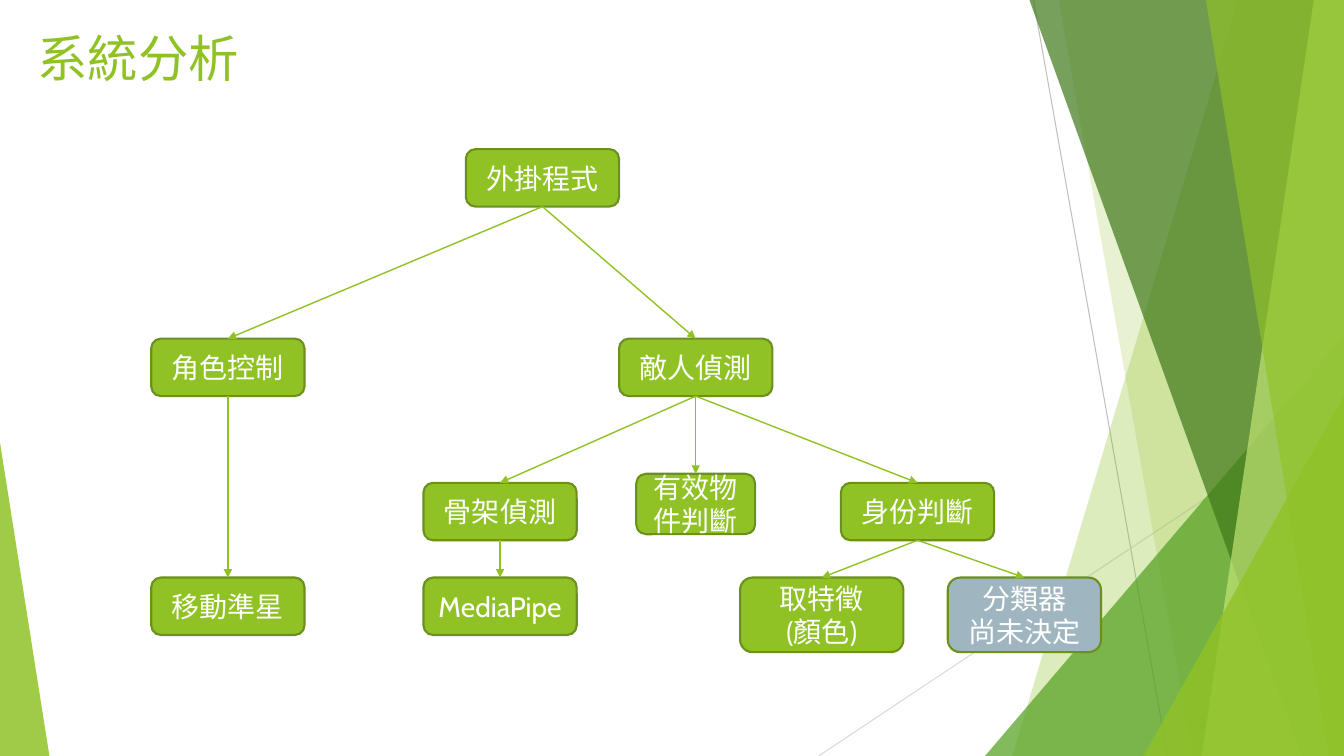
from dataclasses import dataclass

from lxml.etree import SubElement
from pptx import Presentation
from pptx.dml.color import RGBColor
from pptx.enum.shapes import MSO_CONNECTOR as CONN, MSO_SHAPE as SHAPE
from pptx.enum.text import MSO_ANCHOR, PP_ALIGN
from pptx.oxml.ns import qn
from pptx.util import Inches, Pt


@dataclass(frozen=True)
class Theme:
    green: str = "90C226"
    edge: str = "6B901C"
    leaf: str = "54A021"
    forest: str = "3F7819"
    lime: str = "C0E474"
    undecided: str = "9FB6C0"
    white: str = "FFFFFF"
    gray: str = "BFBFBF"
    pale_gray: str = "D9D9D9"
    font: str = "Cabin"
    title_size: int = 36
    box_size: int = 20


T = Theme()
W, H = 13.33, 7.5

prs = Presentation()
prs.slide_width, prs.slide_height = Inches(W), Inches(H)
s = prs.slides.add_slide(prs.slide_layouts[5])


def add_line(start, end, color, width):
    line = s.shapes.add_connector(CONN.STRAIGHT, *map(Inches, start + end))
    line.line.color.rgb = RGBColor.from_string(color)
    line.line.width = Pt(width)
    SubElement(line._element.spPr, qn("a:effectLst"))
    return line


def add_text(p, text, size, color):
    r = p.add_run()
    r.text = text
    r.font.name = T.font
    r.font.size = Pt(size)
    r.font.color.rgb = RGBColor.from_string(color)


# Background facets, back to front
add_line((10.25, 0), (11.58, H), T.gray, 0.75)
add_line((W, 4.03), (8.12, H), T.pale_gray, 0.75)

# Bands run to the right edge: top-left x, bottom-left x, colour, opacity %
# Triangles: left, top, width, apex position, colour, opacity %
facets = [
    ("band", (12.28, 10.04), T.green, 30),
    ("band", (10.5, 11.83), T.green, 20),
    ("triangle", (9.77, 3.33, 3.56, 1), T.leaf, 72),
    ("band", (10.21, 12.91), T.forest, 70),
    ("band", (13.03, 11.92), T.lime, 70),
    ("band", (11.96, 13.18), T.green, 65),
    ("triangle", (11.34, 3.93, 1.99, 1), T.green, 80),
    ("triangle", (0, 4.39, 0.49, 0), T.green, 85),
]
for kind, geometry, color, opacity in facets:
    if kind == "band":
        top_x, bottom_x = geometry
        outline = s.shapes.build_freeform(Inches(top_x), 0)
        corners = [(W, 0), (W, H), (bottom_x, H)]
        outline.add_line_segments([(Inches(x), Inches(y)) for x, y in corners])
        sp = outline.convert_to_shape()
    else:
        x, y, w, apex = geometry
        sp = s.shapes.add_shape(SHAPE.ISOSCELES_TRIANGLE, *map(Inches, (x, y, w, H - y)))
        sp.adjustments[0] = apex
    sp.shadow.inherit = False
    sp.line.fill.background()
    sp.fill.solid()
    sp.fill.fore_color.rgb = RGBColor.from_string(color)
    rgb = sp._element.spPr.find(qn("a:solidFill"))[0]
    SubElement(rgb, qn("a:alpha"), val=str(opacity * 1000))

# Title
title = s.shapes.title
title.left, title.top, title.width, title.height = map(Inches, (0.27, 0.2, 2.86, 0.74))
title.text_frame.vertical_anchor = MSO_ANCHOR.MIDDLE
p = title.text_frame.paragraphs[0]
p.alignment = PP_ALIGN.LEFT
add_text(p, "系統分析", T.title_size, T.green)

# Tree boxes: centre x, top, width, height, lines of text
BOX_W, BOX_H, TALL_H = 1.52, 0.57, 0.74
LEVEL_2, LEVEL_3, LEVEL_4 = 3.36, 4.79, 5.73
nodes = {
    "root": (5.38, 1.48, BOX_W, BOX_H, ["外掛程式"]),
    "control": (2.26, LEVEL_2, BOX_W, BOX_H, ["角色控制"]),
    "enemy": (6.9, LEVEL_2, BOX_W, BOX_H, ["敵人偵測"]),
    "aim": (2.26, LEVEL_4, BOX_W, BOX_H, ["移動準星"]),
    "skeleton": (4.96, LEVEL_3, BOX_W, BOX_H, ["骨架偵測"]),
    "identity": (9.1, LEVEL_3, BOX_W, BOX_H, ["身份判斷"]),
    "mediapipe": (4.96, LEVEL_4, BOX_W, BOX_H, ["MediaPipe"]),
    "feature": (8.15, LEVEL_4, 1.62, TALL_H, ["取特徵", "(顏色)"]),
    "classifier": (10.16, LEVEL_4, BOX_W, TALL_H, ["分類器", "尚未決定"]),
    "valid": (6.9, 4.7, 1.18, 0.6, ["有效物件判斷"]),
}
boxes = {}
for name, (center, top, w, h, lines) in nodes.items():
    sp = s.shapes.add_shape(SHAPE.ROUNDED_RECTANGLE, *map(Inches, (center - w / 2, top, w, h)))
    sp.shadow.inherit = False
    sp.fill.solid()
    fill = T.undecided if name == "classifier" else T.green
    sp.fill.fore_color.rgb = RGBColor.from_string(fill)
    sp.line.color.rgb = RGBColor.from_string(T.edge)
    sp.line.width = Pt(1.5)
    tf = sp.text_frame
    tf.word_wrap = True
    tf.vertical_anchor = MSO_ANCHOR.MIDDLE
    for i, text in enumerate(lines):
        p = tf.add_paragraph() if i else tf.paragraphs[0]
        p.alignment = PP_ALIGN.CENTER
        add_text(p, text, T.box_size, T.white)
    boxes[name] = sp

# Arrows from the bottom of each parent to the top of its children
children = {
    "root": ["control", "enemy"],
    "control": ["aim"],
    "enemy": ["skeleton", "valid", "identity"],
    "skeleton": ["mediapipe"],
    "identity": ["feature", "classifier"],
}
TOP_SITE, BOTTOM_SITE = 0, 2
for parent, names in children.items():
    for child in names:
        arrow = add_line((0, 0), (1, 1), T.green, 1)
        arrow.begin_connect(boxes[parent], BOTTOM_SITE)
        arrow.end_connect(boxes[child], TOP_SITE)
        SubElement(arrow.line._get_or_add_ln(), qn("a:tailEnd"), type="triangle")

prs.save("out.pptx")
